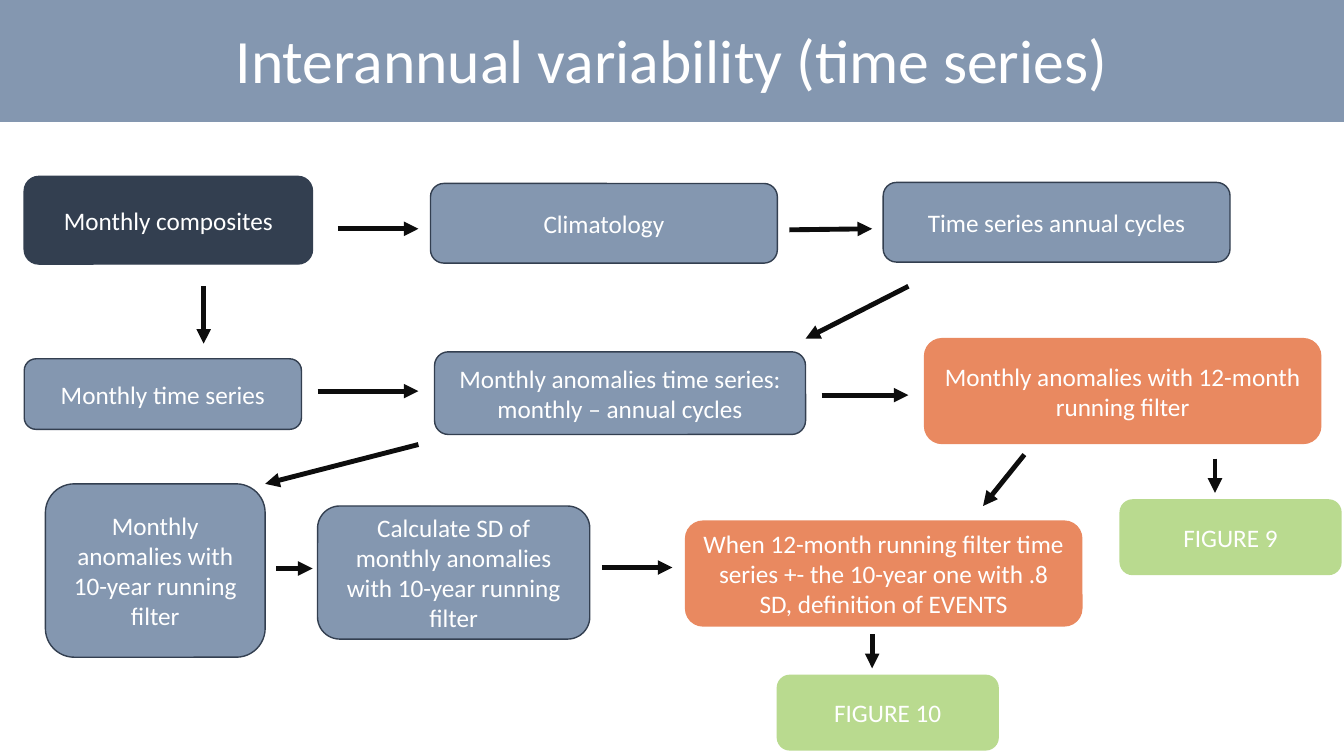
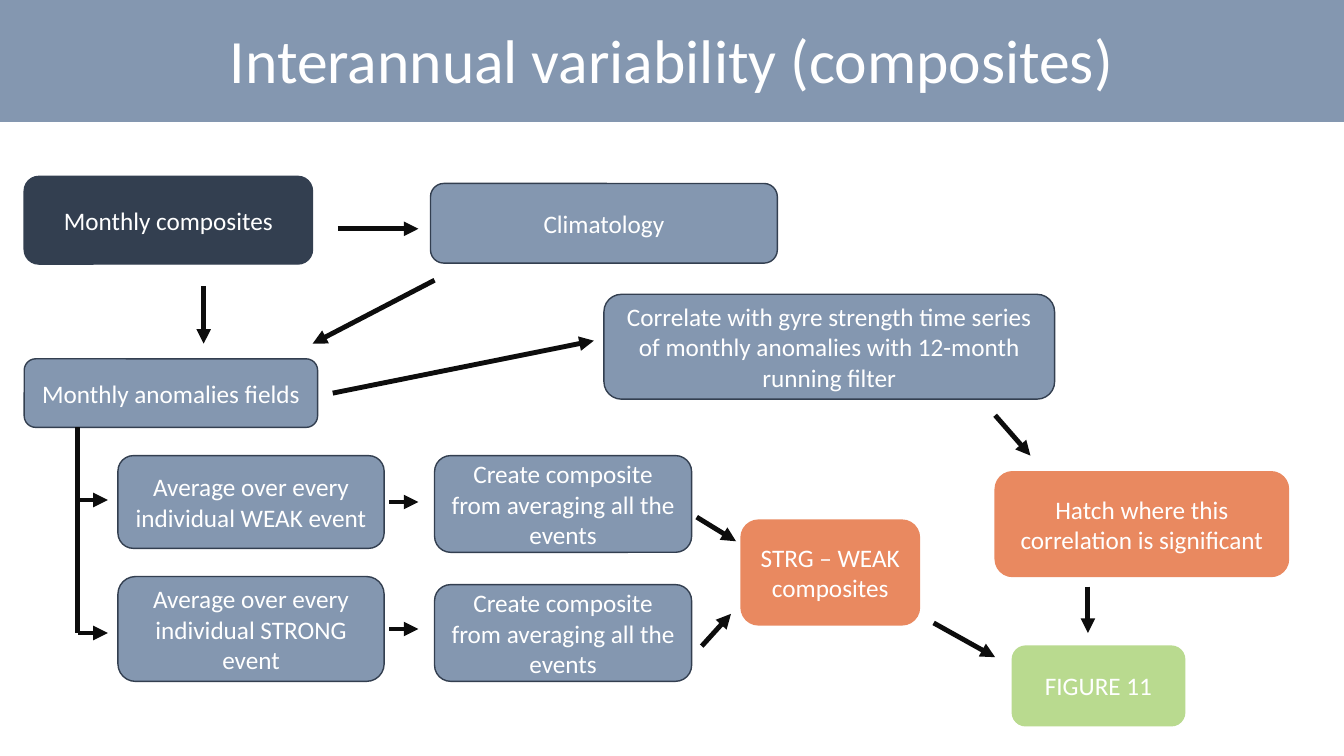
from lxml.etree import SubElement
from pptx import Presentation
from pptx.dml.color import RGBColor
from pptx.enum.shapes import MSO_CONNECTOR as Connector, MSO_SHAPE as Shape
from pptx.enum.text import MSO_ANCHOR as Anchor, PP_ALIGN as Align
from pptx.oxml.ns import qn
from pptx.util import Inches, Pt

NAVY = RGBColor(0x33, 0x3F, 0x50)
SLATE = RGBColor(0x84, 0x97, 0xB0)
ORANGE = RGBColor(0xE9, 0x89, 0x60)
GREEN = RGBColor(0xB9, 0xDA, 0x8F)
WHITE = RGBColor(0xFF, 0xFF, 0xFF)
INK = RGBColor(0x0D, 0x0D, 0x0D)

WIDTH, HEIGHT = 13.33, 7.5
BAND = (0, -0.03, WIDTH, 1.23)
TITLE_FONT = {"name": "Calibri", "size": Pt(44)}
STEP_FONT = {"name": "Calibri", "size": Pt(18)}
FRAME_FORMAT = {"word_wrap": True, "vertical_anchor": Anchor.MIDDLE}
INPUT, STEP, RESULT, FIGURE = (NAVY, NAVY), (SLATE, NAVY), (ORANGE, ORANGE), (GREEN, GREEN)

SHARED_STEPS = [
    ("Monthly composites", INPUT, (0.24, 1.75, 2.86, 0.87)),
    ("Climatology", STEP, (4.27, 1.82, 3.44, 0.79)),
]
SHARED_ARROWS = [
    (2.02, 2.84, 2.02, 3.41),
    (3.35, 2.27, 4.15, 2.27),
]

SERIES_STEPS = [
    ("Time series annual cycles", STEP, (8.76, 1.81, 3.44, 0.79)),
    ("Monthly time series", STEP, (0.24, 3.56, 2.75, 0.7)),
    ("Monthly anomalies time series:\nmonthly – annual cycles", STEP, (4.31, 3.49, 3.68, 0.82)),
    ("Monthly anomalies with 12-month running filter", RESULT, (9.17, 3.36, 3.93, 1.04)),
    ("Monthly anomalies with 10-year running filter", STEP, (0.45, 4.8, 2.18, 1.72)),
    ("Calculate SD of monthly anomalies with 10-year running filter", STEP,
     (3.15, 5.02, 2.7, 1.32)),
    ("When 12-month running filter time series +- the 10-year one with .8 SD, "
     "definition of EVENTS", RESULT, (6.8, 5.17, 3.93, 1.04)),
    ("FIGURE 9", FIGURE, (11.11, 4.96, 2.19, 0.74)),
    ("FIGURE 10", FIGURE, (7.71, 6.7, 2.19, 0.74)),
]
SERIES_ARROWS = [
    (7.83, 2.28, 8.65, 2.27),
    (9.01, 2.84, 7.99, 3.36),
    (3.15, 3.88, 4.15, 3.88),
    (8.15, 3.92, 9.01, 3.92),
    (4.15, 4.41, 2.63, 4.8),
    (2.74, 5.64, 3.1, 5.64),
    (5.97, 5.63, 6.67, 5.63),
    (10.16, 4.51, 9.75, 5.02),
    (12.05, 4.55, 12.05, 4.89),
    (8.65, 6.29, 8.65, 6.63),
]

AVERAGE_EVENTS = "Create composite from averaging all the events"
COMPOSITE_STEPS = [
    ("Monthly anomalies fields", STEP, (0.24, 3.56, 2.91, 0.68)),
    ("Correlate with gyre strength time series of monthly anomalies with 12-month "
     "running filter", STEP, (5.99, 2.92, 4.47, 1.04)),
    ("Average over every individual WEAK event", STEP, (1.17, 4.52, 2.64, 0.92)),
    ("Average over every individual STRONG event", STEP, (1.17, 5.72, 2.64, 1.04)),
    (AVERAGE_EVENTS, STEP, (4.31, 4.52, 2.55, 0.96)),
    (AVERAGE_EVENTS, STEP, (4.31, 5.8, 2.55, 0.96)),
    ("STRG – WEAK composites", RESULT, (7.35, 5.16, 1.77, 1.04)),
    ("Hatch where this correlation is significant", RESULT, (9.87, 4.68, 2.91, 1.04)),
    ("FIGURE 11", FIGURE, (10.04, 6.41, 1.71, 0.79)),
]
COMPOSITE_ARROWS = [
    (4.31, 2.78, 3.1, 3.41),
    (3.3, 3.9, 5.89, 3.38),
    (0.77, 4.96, 1.07, 4.96),
    (0.77, 6.28, 1.07, 6.28),
    (3.86, 4.98, 4.15, 4.98),
    (3.86, 6.24, 4.15, 6.24),
    (6.91, 5.13, 7.3, 5.37),
    (6.96, 6.41, 7.25, 6.09),
    (9.87, 4.12, 10.22, 4.52),
    (10.79, 5.82, 10.79, 6.28),
    (9.26, 6.18, 9.87, 6.52),
]
EVENT_BRANCH = (0.77, 4.24, 0.77, 6.28)


def apply_format(target, values):
    for attribute, value in values.items():
        setattr(target, attribute, value)


def add_box(slide, text, colours, place, outline=Shape.ROUNDED_RECTANGLE, font=STEP_FONT):
    box = slide.shapes.add_shape(outline, *map(Inches, place))
    fill, border = colours
    box.shadow.inherit = False
    box.fill.solid()
    box.fill.fore_color.rgb = fill
    box.line.color.rgb = border
    box.line.width = Pt(1)
    apply_format(box.text_frame, FRAME_FORMAT)
    box.text_frame.text = text
    for paragraph in box.text_frame.paragraphs:
        paragraph.alignment = Align.CENTER
        apply_format(paragraph.font, font)
        paragraph.font.color.rgb = WHITE


def add_line(slide, ends, width=3.5, arrow=True):
    line = slide.shapes.add_connector(Connector.STRAIGHT, *map(Inches, ends))
    line.line.color.rgb = INK
    line.line.width = Pt(width)
    if arrow:
        SubElement(line.line._get_or_add_ln(), qn("a:tailEnd"), type="triangle")
    SubElement(line._element.spPr, qn("a:effectLst"))


def add_flow_slide(deck, title, steps, arrows):
    slide = deck.slides.add_slide(deck.slide_layouts[6])
    add_box(slide, title, (SLATE, SLATE), BAND, Shape.RECTANGLE, TITLE_FONT)
    for step in SHARED_STEPS + steps:
        add_box(slide, *step)
    for ends in SHARED_ARROWS + arrows:
        add_line(slide, ends)
    return slide


def main():
    deck = Presentation()
    apply_format(deck, {"slide_width": Inches(WIDTH), "slide_height": Inches(HEIGHT)})
    add_flow_slide(deck, "Interannual variability (time series)", SERIES_STEPS, SERIES_ARROWS)
    composites = add_flow_slide(
        deck, "Interannual variability (composites)", COMPOSITE_STEPS, COMPOSITE_ARROWS)
    add_line(composites, EVENT_BRANCH, width=3, arrow=False)
    deck.save("out.pptx")


main()
